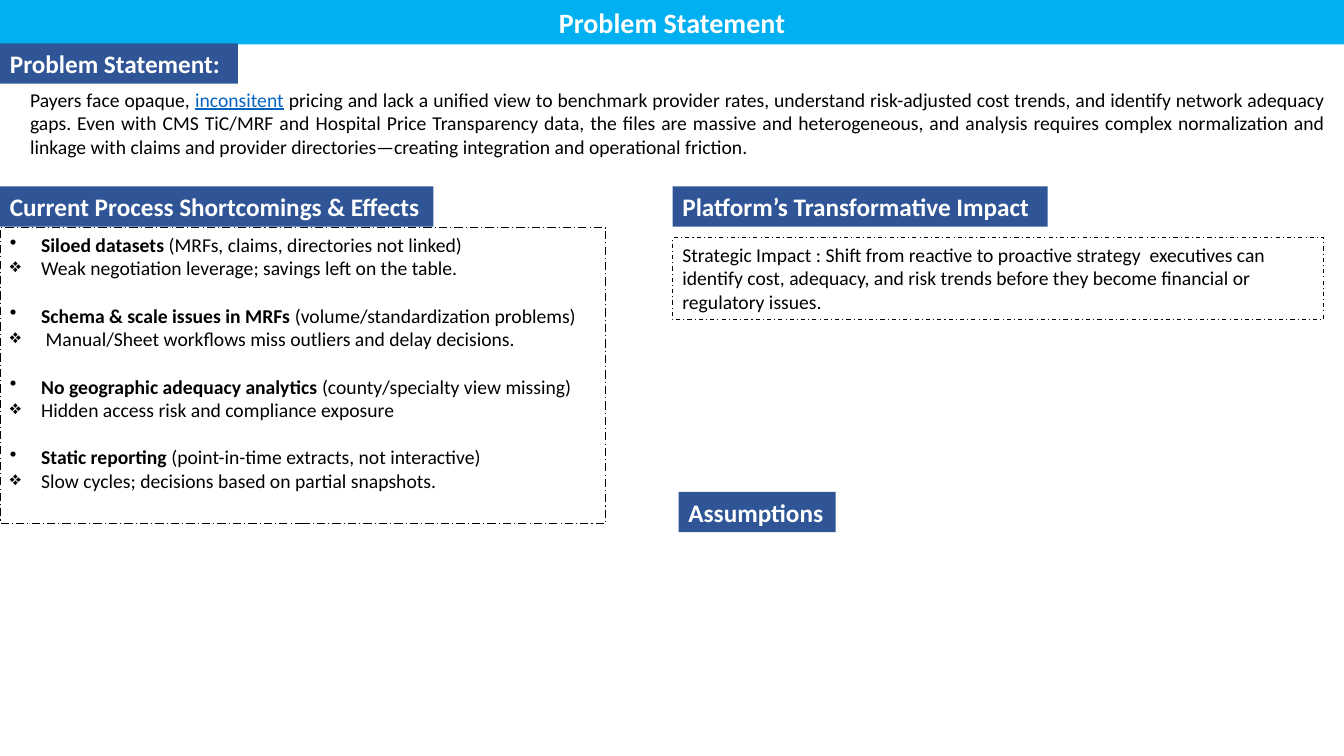
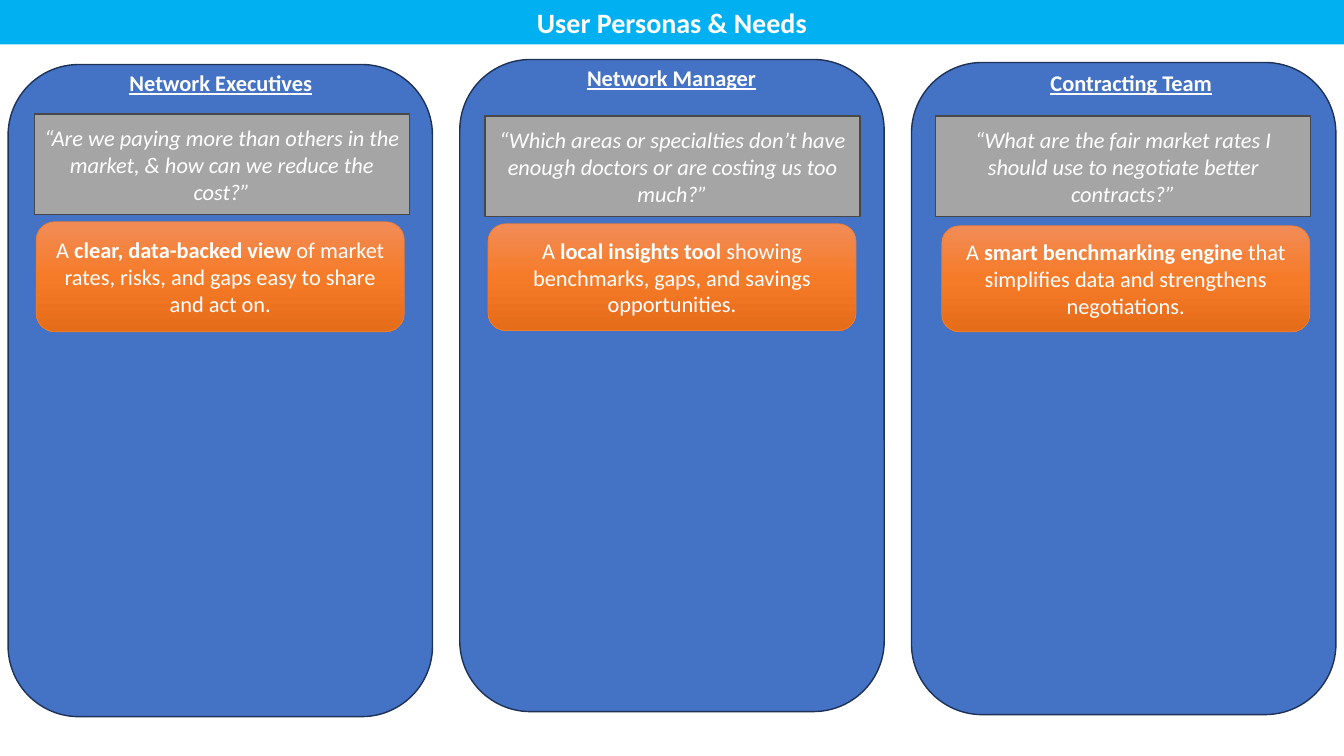
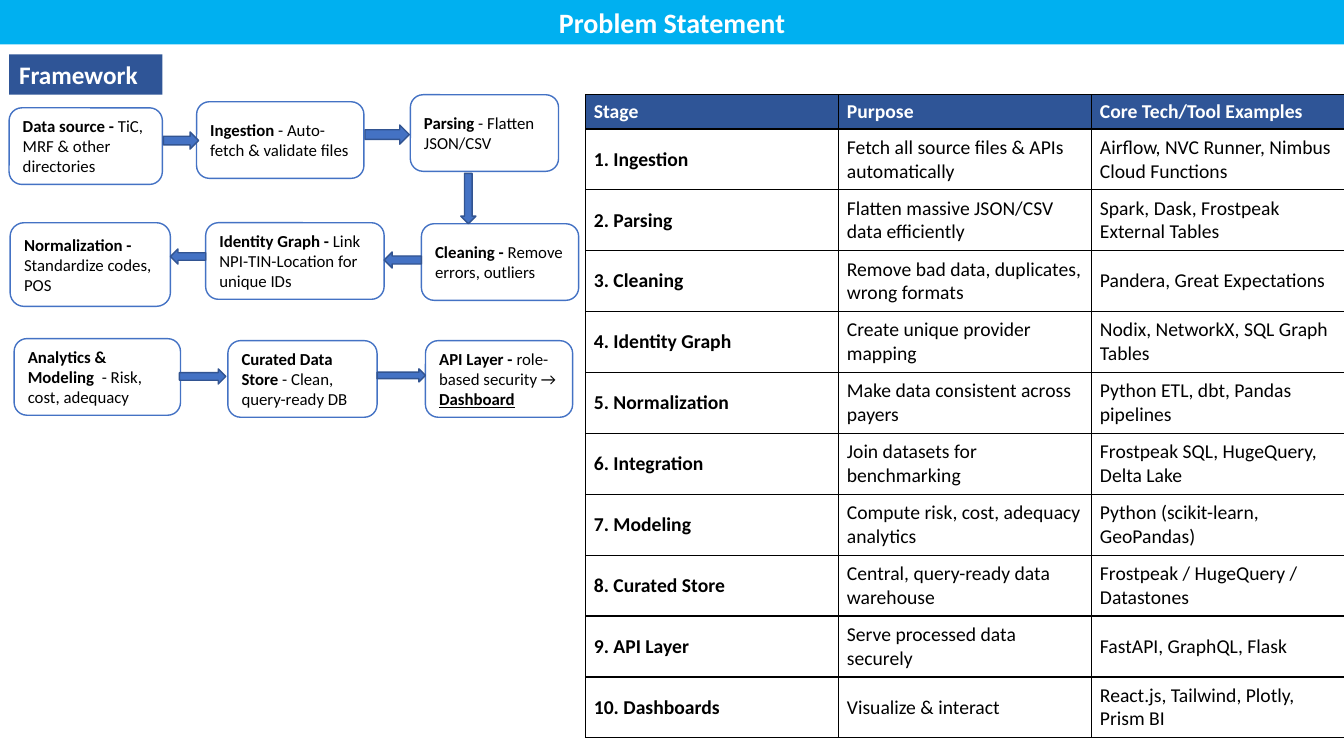
"""Build three slides on a problem statement, its user personas and its framework."""
from copy import deepcopy
from pptx import Presentation
from pptx.dml.color import RGBColor
from pptx.enum.dml import MSO_LINE
from pptx.enum.shapes import MSO_SHAPE
from pptx.enum.text import MSO_ANCHOR, PP_ALIGN
from pptx.oxml.ns import qn
from pptx.oxml.xmlchemy import OxmlElement
from pptx.util import Inches, Pt

hue = RGBColor.from_string
SKY, NAVY, BLUE, WHITE, BLACK = "00B0F0", "2F5597", "4472C4", "FFFFFF", "000000"
RECT, ROUND = MSO_SHAPE.RECTANGLE, MSO_SHAPE.ROUNDED_RECTANGLE
TOP, MID = MSO_ANCHOR.TOP, MSO_ANCHOR.MIDDLE
LEFT, CENTER = PP_ALIGN.LEFT, PP_ALIGN.CENTER


def draw(page, at, kind=RECT, fill=None, line=None, width=1):
    """Add a shape, or a text box when kind is None."""
    place = [Inches(n) for n in at]
    if kind is None:
        return page.shapes.add_textbox(*place)
    shape = page.shapes.add_shape(kind, *place)
    shape.shadow.inherit = False
    if fill:
        shape.fill.solid()
        shape.fill.fore_color.rgb = hue(fill)
    else:
        shape.fill.background()
    if line:
        shape.line.color.rgb = hue(line)
        shape.line.width = Pt(width)
    else:
        shape.line.fill.background()
    return shape


def write(frame, *texts, size=14, color=BLACK, bold=False, italic=False,
          under=False, align=LEFT, anchor=TOP):
    """Write one paragraph per text; parts between asterisks are bold."""
    frame.word_wrap = True
    frame.vertical_anchor = anchor
    for num, text in enumerate(texts):
        para = frame.add_paragraph() if num else frame.paragraphs[0]
        para.alignment = align
        for odd, part in enumerate(text.split("*")):
            if part:
                run = para.add_run()
                run.text = part
                font = run.font
                font.name, font.size = "Calibri", Pt(size)
                font.color.rgb = hue(color)
                font.bold = bold or odd % 2 == 1
                font.italic, font.underline = italic, under
    return frame.paragraphs


deck = Presentation()
deck.slide_width, deck.slide_height = Inches(13.33), Inches(7.5)

pages = []
for name in ("Problem Statement", "User Personas & Needs", "Problem Statement"):
    page = deck.slides.add_slide(deck.slide_layouts[5])
    title = page.shapes.title
    title.left, title.top = Inches(0), Inches(0)
    title.width, title.height = deck.slide_width, Inches(0.44)
    title.fill.solid()
    title.fill.fore_color.rgb = hue(SKY)
    write(title.text_frame, name, size=20, color=WHITE, bold=True, align=CENTER)
    pages.append(page)
issue, users, frame = pages

labels = [
    (issue, 0, 0.43, 2.36, "Problem Statement:"),
    (issue, 0, 1.85, 4.3, "Current Process Shortcomings & Effects"),
    (issue, 6.67, 1.85, 3.72, "Platform’s Transformative Impact"),
    (issue, 6.73, 4.88, 1.56, "Assumptions"),
    (frame, 0.09, 0.54, 1.52, "Framework"),
]
for page, x, y, wide, text in labels:
    label = draw(page, (x, y, wide, 0.4), fill=NAVY)
    write(label.text_frame, text, size=18, color=WHITE, bold=True)

intro = draw(issue, (0.2, 0.82, 13.05, 0.81), None)
paras = write(
    intro.text_frame,
    "Payers face opaque, *inconsitent* pricing and lack a unified view to benchmark "
    "provider rates, understand risk-adjusted cost trends, and identify network "
    "adequacy gaps. Even with CMS TiC/MRF and Hospital Price Transparency data, the "
    "files are massive and heterogeneous, and analysis requires complex normalization "
    "and linkage with claims and provider directories—creating integration and "
    "operational friction.", align=PP_ALIGN.JUSTIFY)
font = paras[0].runs[1].font
font.bold, font.underline = False, True
font.color.rgb = hue("0563C1")

flaws = draw(issue, (0, 2.26, 6.01, 2.93), line=BLACK, width=0.75)
flaws.line.dash_style = MSO_LINE.LONG_DASH_DOT
paras = write(
    flaws.text_frame,
    "*Siloed datasets* (MRFs, claims, directories not linked)",
    "Weak negotiation leverage; savings left on the table.",
    "*Schema & scale issues in MRFs* (volume/standardization problems)",
    " Manual/Sheet workflows miss outliers and delay decisions.",
    "*No geographic adequacy analytics* (county/specialty view missing)",
    "Hidden access risk and compliance exposure",
    "*Static reporting* (point-in-time extracts, not interactive)",
    "Slow cycles; decisions based on partial snapshots.")
for num, para in enumerate(paras):
    effect = num % 2
    para.space_before = Pt(17 if num and not effect else 0)
    props = para._p.get_or_add_pPr()
    props.set("marL", str(Inches(0.31)))
    props.set("indent", str(-Inches(0.31)))
    mark = OxmlElement("a:buChar")
    mark.set("char", "❖" if effect else "•")
    props.append(mark)

impact = draw(issue, (6.67, 2.36, 6.46, 0.81), line=BLACK, width=0.75)
impact.line.dash_style = MSO_LINE.DASH_DOT
write(impact.text_frame,
      "Strategic Impact : Shift from reactive to proactive strategy  executives can "
      "identify cost, adequacy, and risk trends before they become financial or "
      "regulatory issues.")

roles = [
    ("Network Executives", 0.64, (0.68, 0.64), 1.13, (0.36, 2.2, 3.65, 1.09),
     "“Are we paying more than others in the market, & how can we reduce the cost?”",
     "A *clear, data-backed view* of market rates, risks, and gaps easy to share and act on."),
    ("Network Manager", 0.59, (5.15, 0.59), 1.15, (4.84, 2.22, 3.65, 1.06),
     "“Which areas or specialties don’t have enough doctors or are costing us too much?”",
     "A *local insights tool* showing benchmarks, gaps, and savings opportunities."),
    ("Contracting Team", 0.62, (9.71, 0.64), 1.15, (9.34, 2.24, 3.65, 1.05),
     "“What are the fair market rates I should use to negotiate better contracts?”",
     "A *smart benchmarking engine* that simplifies data and strengthens negotiations."),
]
for num, (role, y, head, ask, spot, quote, need) in enumerate(roles):
    draw(users, (0.08 + 4.48 * num, y, 4.21, 6.47), ROUND, BLUE, "1E3256")
    name = draw(users, (*head, 3.02, 0.37), None)
    write(name.text_frame, role, size=16, color=WHITE, bold=True, under=True, align=CENTER)
    card = draw(users, (0.34 + 4.47 * num, ask, 3.72, 1), RECT, "A5A5A5", "484848")
    write(card.text_frame, quote, size=16, color=WHITE, italic=True, align=CENTER, anchor=MID)
    card = draw(users, spot, ROUND, line="ED7D31", width=0.5)
    card.fill.gradient()
    card.fill.gradient_angle = 270
    stops = card._element.spPr.find(".//" + qn("a:gsLst"))
    stops.insert(1, deepcopy(stops[0]))
    stops[1].set("pos", "50000")
    for stop, tint in zip(card.fill.gradient_stops, ("F18C57", "F67B28", "E56C19")):
        stop.color.rgb = hue(tint)
    write(card.text_frame, need, size=16, color=WHITE, align=CENTER, anchor=MID)

rows = [
    ("Stage", "Purpose", "Core Tech/Tool Examples"),
    ("1. Ingestion", "Fetch all source files & APIs automatically",
     "Airflow, NVC Runner, Nimbus Cloud Functions"),
    ("2. Parsing", "Flatten massive JSON/CSV data efficiently",
     "Spark, Dask, Frostpeak External Tables"),
    ("3. Cleaning", "Remove bad data, duplicates, wrong formats",
     "Pandera, Great Expectations"),
    ("4. Identity Graph", "Create unique provider mapping",
     "Nodix, NetworkX, SQL Graph Tables"),
    ("5. Normalization", "Make data consistent across payers",
     "Python ETL, dbt, Pandas pipelines"),
    ("6. Integration", "Join datasets for benchmarking",
     "Frostpeak SQL, HugeQuery, Delta Lake"),
    ("7. Modeling", "Compute risk, cost, adequacy analytics",
     "Python (scikit-learn, GeoPandas)"),
    ("8. Curated Store", "Central, query-ready data warehouse",
     "Frostpeak / HugeQuery / Datastones"),
    ("9. API Layer", "Serve processed data securely", "FastAPI, GraphQL, Flask"),
    ("10. Dashboards", "Visualize & interact", "React.js, Tailwind, Plotly, Prism BI"),
]
place = [Inches(n) for n in (5.81, 0.94, 7.53, 6.38)]
table = frame.shapes.add_table(len(rows), 3, *place).table
table.horz_banding = False
for r, row in enumerate(rows):
    table.rows[r].height = Inches(6.04 / 10 if r else 0.34)
    for c, text in enumerate(row):
        cell = table.cell(r, c)
        cell.margin_left = cell.margin_right = Inches(0.08)
        cell.margin_top = cell.margin_bottom = Inches(0.04)
        cell.vertical_anchor = MID
        write(cell.text_frame, text, color=BLACK if r else WHITE, bold=r == 0 or c == 0)
        props = cell._tc.get_or_add_tcPr()
        for side in ("a:lnL", "a:lnR", "a:lnT", "a:lnB"):
            edge = OxmlElement(side)
            edge.set("w", str(Pt(1)))
            paint = OxmlElement("a:solidFill")
            shade = OxmlElement("a:srgbClr")
            shade.set("val", BLACK)
            paint.append(shade)
            edge.append(paint)
            props.append(edge)
        if r:
            cell.fill.background()
        else:
            cell.fill.solid()
            cell.fill.fore_color.rgb = hue(NAVY)

steps = [
    (0.09, 1.07, 1.52, 0.76, "*Data source - *TiC, MRF & other directories"),
    (1.95, 1.01, 1.66, 0.76, "*Ingestion* - Auto-fetch & validate files"),
    (4.07, 0.94, 1.47, 0.76, "*Parsing* - Flatten JSON/CSV"),
    (4.18, 2.22, 1.56, 0.76, "*Cleaning - *Remove errors, outliers"),
    (2.04, 2.21, 1.77, 0.76, "*Identity Graph - *Link NPI-TIN-Location for unique IDs"),
    (0.1, 2.21, 1.59, 0.83, "*Normalization - *Standardize codes, POS"),
    (0.14, 3.36, 1.65, 0.76, "*Analytics & Modeling  *- Risk, cost, adequacy"),
    (2.26, 3.38, 1.48, 0.76, "*Curated Data Store *- Clean, query-ready DB"),
    (4.22, 3.38, 1.46, 0.76, "*API Layer - *role-based security → *Dashboard*"),
]
for *at, text in steps:
    step = draw(frame, at, ROUND, WHITE, BLUE)
    paras = write(step.text_frame, text, size=12, anchor=MID)
paras[0].runs[-1].font.underline = True

EAST, WEST, DOWN = MSO_SHAPE.RIGHT_ARROW, MSO_SHAPE.LEFT_ARROW, MSO_SHAPE.DOWN_ARROW
arrows = [
    (EAST, 1.62, 1.31, 0.35, 0.17),
    (EAST, 3.62, 1.24, 0.44, 0.19),
    (DOWN, 4.57, 1.72, 0.15, 0.5),
    (WEST, 3.81, 2.5, 0.37, 0.16),
    (WEST, 1.69, 2.47, 0.35, 0.15),
    (EAST, 1.78, 3.66, 0.46, 0.15),
    (EAST, 3.74, 3.66, 0.48, 0.13),
]
for kind, *at in arrows:
    draw(frame, at, kind, BLUE, "325491")

deck.save("out.pptx")
